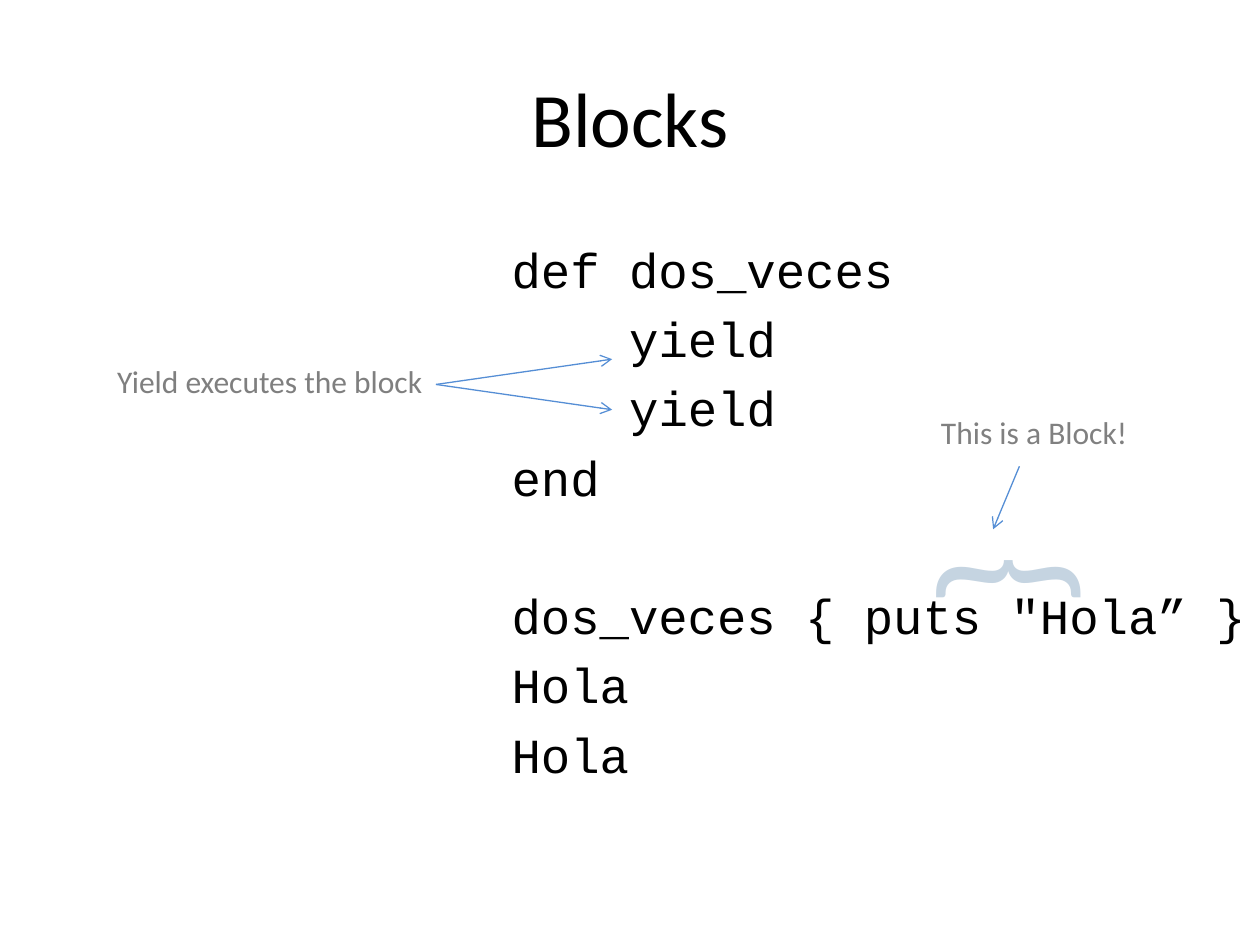
from lxml.etree import SubElement
from pptx import Presentation
from pptx.dml.color import RGBColor as RGB
from pptx.enum.shapes import MSO_CONNECTOR as CONN
from pptx.enum.text import MSO_ANCHOR as ANCHOR, MSO_AUTO_SIZE as AUTO, PP_ALIGN as ALIGN
from pptx.oxml.ns import qn
from pptx.util import Cm, Pt

COLORS = {"text": "000000", "note": "808080", "note_dark": "7F7F7F",
          "brace": "C5D4E1", "arrow": "558ED5"}
LINE_GAP = 6
BLANK_LINE = 39.35
CODE_LEFT = 1.27
CODE_STEP = 2.37  # four characters of code

# text, indent steps, blank lines above
CODE = [
    ("def dos_veces", 0, 0),
    ("yield", 1, 0),
    ("yield", 1, 0),
    ("end", 0, 0),
    ('dos_veces { puts "Hola” }', 0, 1),
    ("Hola", 0, 0),
    ("Hola", 0, 0),
]


def set_attrs(obj, values):
    """Set each attribute named in a dict."""
    for name, value in values.items():
        setattr(obj, name, value)


def place(sp, box):
    """Move and size a shape from centimetres."""
    set_attrs(sp, dict(zip(("left", "top", "width", "height"), map(Cm, box))))


def write(p, text, size, color, font="Calibri"):
    """Add one formatted run to a paragraph."""
    r = p.add_run()
    r.text = text
    set_attrs(r.font, {"size": Pt(size), "name": font})
    r.font.color.rgb = RGB.from_string(COLORS[color])


def add_title(s, text):
    """Fill the title placeholder."""
    sp = s.shapes.title
    place(sp, (1.27, 0.76, 22.86, 3.18))
    tf = sp.text_frame
    tf.vertical_anchor = ANCHOR.MIDDLE
    p = tf.paragraphs[0]
    p.alignment = ALIGN.CENTER
    write(p, text, 44, "text")


def add_code(s, lines):
    """Fill the body placeholder with indented code lines."""
    sp = s.placeholders[1]
    place(sp, (8.79, 3.38, 16.61, 13.72))
    tf = sp.text_frame
    set_attrs(tf, {"auto_size": AUTO.NONE, "word_wrap": True,
                   "margin_top": Cm(1.44), "margin_right": 0})
    for i, (text, steps, blanks) in enumerate(lines):
        p = tf.add_paragraph() if i else tf.paragraphs[0]
        gap = LINE_GAP + blanks * BLANK_LINE if i else 0
        set_attrs(p, {"level": 1, "space_before": Pt(gap)})
        pPr = p._p.get_or_add_pPr()
        pPr.set("marL", str(Cm(CODE_LEFT + steps * CODE_STEP)))
        pPr.set("indent", "0")
        SubElement(pPr, qn("a:buNone"))
        write(p, text, 28, "text", "Courier New")


def add_label(s, text, box, color, size=18, vertical=False):
    """Add a text box, turned by a quarter if vertical."""
    sp = s.shapes.add_textbox(*map(Cm, box))
    tf = sp.text_frame
    tf.word_wrap = vertical
    if vertical:
        tf._txBody.bodyPr.set("vert", "vert")
    write(tf.paragraphs[0], text, size, color)


def add_arrow(s, start, end):
    """Add a thin line with an open arrowhead at its end."""
    c = s.shapes.add_connector(CONN.STRAIGHT, *map(Cm, start + end))
    c.line.width = Pt(0.75)
    c.line.color.rgb = RGB.from_string(COLORS["arrow"])
    SubElement(c.line._get_or_add_ln(), qn("a:tailEnd"), type="arrow")
    SubElement(c._element.spPr, qn("a:effectLst"))


def main():
    """Build the slide and save it."""
    prs = Presentation()
    set_attrs(prs, {"slide_width": Cm(25.4), "slide_height": Cm(19.05)})
    s = prs.slides.add_slide(prs.slide_layouts[1])
    add_title(s, "Blocks")
    add_code(s, CODE)
    add_label(s, "This is a Block!", (18.72, 8.2, 4.7, 1.02), "note")
    add_arrow(s, (20.55, 9.4), (20.02, 10.67))
    add_label(s, "{", (14.15, 11, 8.71, 0.43), "brace", 96, vertical=True)
    add_label(s, "Yield executes the block", (2.11, 7.18, 7.09, 1.02), "note_dark")
    for y in (7.24, 8.26):
        add_arrow(s, (8.79, 7.75), (12.34, y))
    prs.save("out.pptx")


main()
